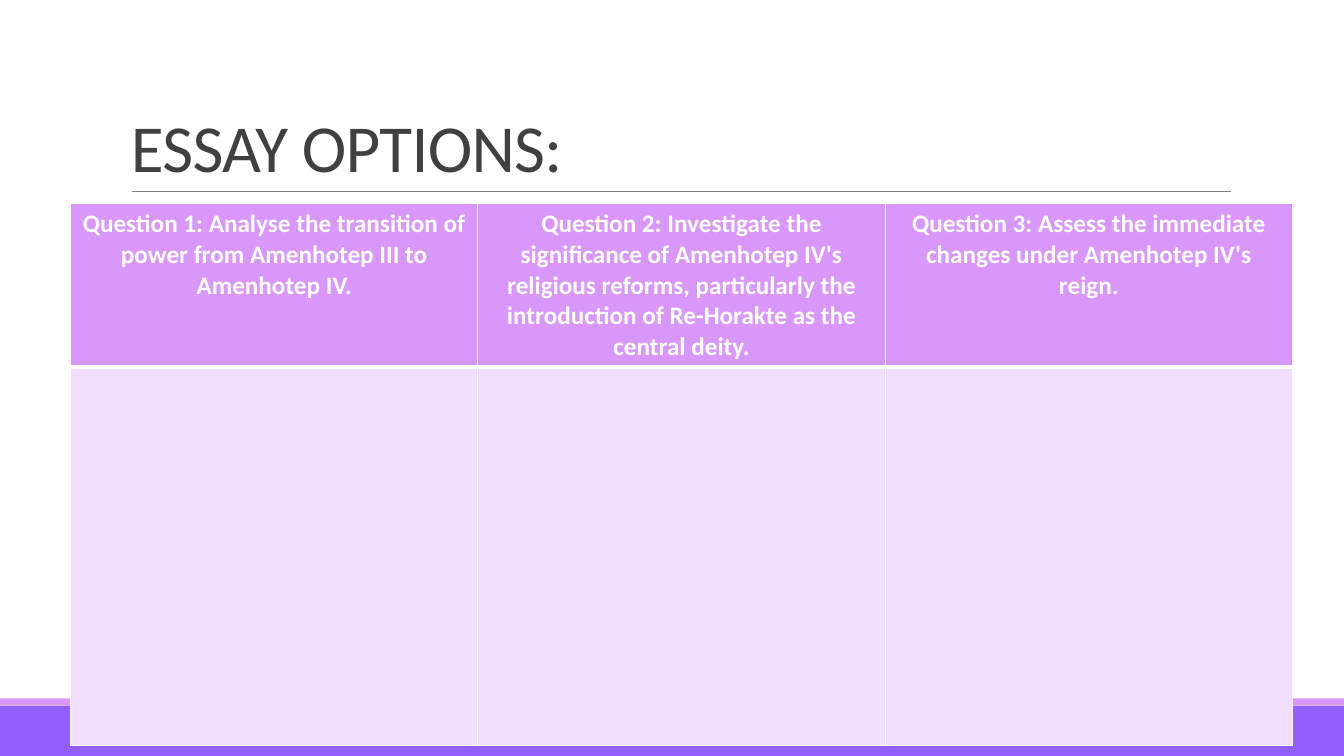
"""Build the essay options slide with a three-question table."""
from dataclasses import dataclass

from lxml import etree
from pptx import Presentation
from pptx.dml.color import RGBColor
from pptx.enum.shapes import MSO_CONNECTOR, MSO_SHAPE
from pptx.enum.text import MSO_ANCHOR, PP_ALIGN
from pptx.oxml.ns import qn
from pptx.util import Inches, Pt

RECT = MSO_SHAPE.RECTANGLE
STRAIGHT = MSO_CONNECTOR.STRAIGHT
BOTTOM = MSO_ANCHOR.BOTTOM
CENTER = PP_ALIGN.CENTER
FONT = "Calibri"
WHITE = "FFFFFF"
LILAC = "DA97FB"
COL_W = 4.04
HEADER_H, BODY_H = 1.62, 3.76


@dataclass
class Band:
    top: float
    height: float
    fill: str


BANDS = [Band(7, 0.5, "925FFD"), Band(6.93, 0.07, LILAC)]
QUESTIONS = [
    "Question 1: Analyse the transition of power from Amenhotep III to Amenhotep IV.",
    "Question 2: Investigate the significance of Amenhotep IV's religious reforms, "
    "particularly the introduction of Re-Horakte as the central deity.",
    "Question 3: Assess the immediate changes under Amenhotep IV's reign.",
]


def color(value: str) -> RGBColor:
    return RGBColor.from_string(value)


def add_run(p, text: str, size: float, hex_color: str, bold: bool = False):
    r = p.add_run()
    r.text = text
    r.font.name = FONT
    r.font.size = Pt(size)
    r.font.bold = bold
    r.font.color.rgb = color(hex_color)
    return r


def add_band(s, band: Band) -> None:
    sp = s.shapes.add_shape(RECT, 0, Inches(band.top), Inches(13.33), Inches(band.height))
    sp.shadow.inherit = False
    sp.fill.solid()
    sp.fill.fore_color.rgb = color(band.fill)
    sp.line.fill.background()


def add_rule(s) -> None:
    line = s.shapes.add_connector(STRAIGHT, Inches(1.31), Inches(1.9), Inches(12.21), Inches(1.9))
    line.line.color.rgb = color("808080")
    line.line.width = Pt(0.5)
    etree.SubElement(line._element.spPr, qn("a:effectLst"))


def add_title(s) -> None:
    sp = s.shapes.add_textbox(Inches(1.2), Inches(0.31), Inches(11), Inches(1.59))
    tf = sp.text_frame
    tf.word_wrap = True
    tf.vertical_anchor = BOTTOM
    p = tf.paragraphs[0]
    p.line_spacing = 0.85
    r = add_run(p, "ESSAY OPTIONS:", 48, "404040")
    r.font._element.set("spc", "-50")


def style_cell(cell, fill: str, top: float, bottom: float) -> None:
    tc_pr = cell._tc.get_or_add_tcPr()
    for side, width in (("L", 1), ("R", 1), ("T", top), ("B", bottom)):
        ln = etree.SubElement(tc_pr, qn(f"a:ln{side}"), w=str(Pt(width)))
        solid = etree.SubElement(ln, qn("a:solidFill"))
        etree.SubElement(solid, qn("a:srgbClr"), val=WHITE)
    cell.fill.solid()
    cell.fill.fore_color.rgb = color(fill)


def add_questions(s) -> None:
    frame = s.shapes.add_table(2, len(QUESTIONS), Inches(0.7), Inches(2.02),
                               Inches(COL_W * len(QUESTIONS)), Inches(HEADER_H + BODY_H))
    table = frame.table
    table.rows[0].height = Inches(HEADER_H)
    table.rows[1].height = Inches(BODY_H)
    for i, question in enumerate(QUESTIONS):
        table.columns[i].width = Inches(COL_W)
        header = table.cell(0, i)
        style_cell(header, LILAC, 1, 3)
        p = header.text_frame.paragraphs[0]
        p.alignment = CENTER
        add_run(p, question, 18, WHITE, True)
        style_cell(table.cell(1, i), "F1DDFD", 3, 1)


def main() -> None:
    prs = Presentation()
    prs.slide_width = Inches(13.33)
    prs.slide_height = Inches(7.5)
    s = prs.slides.add_slide(prs.slide_layouts[6])
    for band in BANDS:
        add_band(s, band)
    add_rule(s)
    add_title(s)
    add_questions(s)
    prs.save("out.pptx")


if __name__ == "__main__":
    main()
